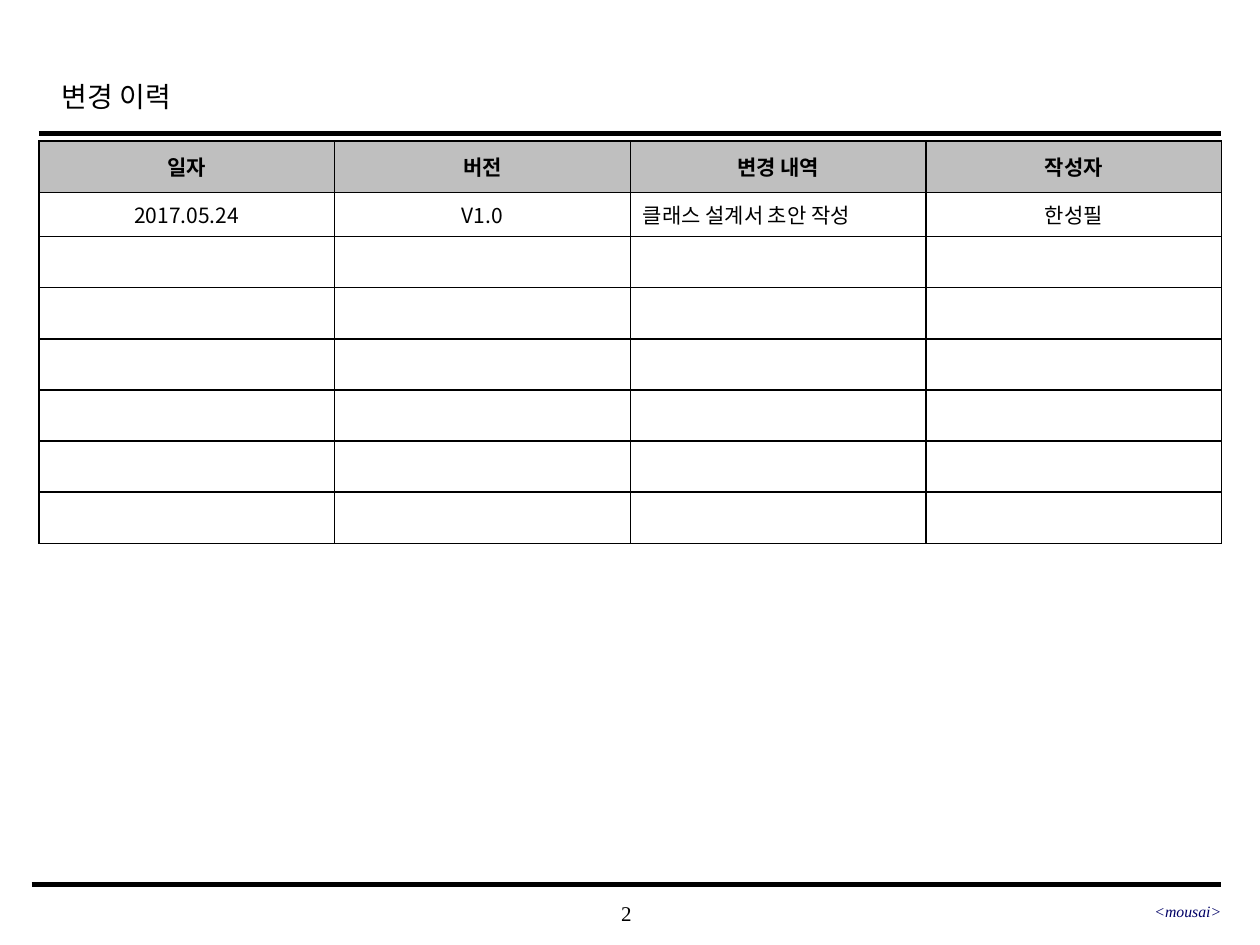
from pptx import Presentation
from pptx import oxml as ox
from pptx import util as u
from pptx.dml import color
from pptx.enum import shapes, text
from pptx.oxml import ns, xmlchemy as xc

BLACK = color.RGBColor(0, 0, 0)
WHITE = color.RGBColor(255, 255, 255)
NAVY = color.RGBColor(0, 0, 0x66)
HEADER_GRAY = color.RGBColor(0xBF, 0xBF, 0xBF)
SERIF, HANGUL = "Times New Roman", "Noto Sans CJK KR"
LEFT, CENTER, RIGHT = text.PP_ALIGN.LEFT, text.PP_ALIGN.CENTER, text.PP_ALIGN.RIGHT

HISTORY = [
    ("일자", "버전", "변경 내역", "작성자"),
    ("2017.05.24", "V1.0", "클래스 설계서 초안 작성", "한성필"),
] + [("",) * 4] * 6


def write(frame, words, size=12, font=SERIF, ink=BLACK, align=LEFT,
          bold=False, italic=False, spacing=None):
    """Fill a text frame with one formatted, vertically centred paragraph."""
    frame.word_wrap = True
    frame.vertical_anchor = text.MSO_ANCHOR.MIDDLE
    line = frame.paragraphs[0]
    line.alignment = align
    line.line_spacing = spacing
    if not words:
        ending = xc.OxmlElement("a:endParaRPr")
        ending.set("sz", str(size * 100))
        line._p.append(ending)
        return
    run = line.add_run()
    run.text = words
    run.font.size = u.Pt(size)
    run.font.name = font
    run.font.bold = bold
    run.font.italic = italic
    run.font.color.rgb = ink
    east_asian = xc.OxmlElement("a:ea")
    east_asian.set("typeface", HANGUL)
    run.font._element.find(ns.qn("a:latin")).addnext(east_asian)


def add_rule(slide, left, top, width, weight):
    """Draw a horizontal black rule."""
    rule = slide.shapes.add_connector(
        shapes.MSO_CONNECTOR.STRAIGHT, u.Pt(left), u.Pt(top), u.Pt(left + width), u.Pt(top))
    rule.line.color.rgb = BLACK
    rule.line.width = u.Pt(weight)
    rule._element.spPr.append(xc.OxmlElement("a:effectLst"))


def add_label(slide, left, top, width, height, words, **look):
    """Place a text box without margins."""
    frame = slide.shapes.add_textbox(
        u.Pt(left), u.Pt(top), u.Pt(width), u.Pt(height)).text_frame
    frame.margin_left = frame.margin_right = frame.margin_top = frame.margin_bottom = 0
    write(frame, words, **look)


def add_heading(slide, left, top, width, words):
    """Place the slide title above its rule."""
    title = slide.shapes.title
    title.left, title.top = u.Pt(left + 6), u.Pt(top)
    title.width, title.height = u.Pt(543.6), u.Pt(36)
    write(title.text_frame, words, size=16, spacing=1.2)
    add_rule(slide, left, top + 41, width, 2.5)


def add_footer(slide, left, top, width):
    """Place the bottom rule, page number and team name."""
    add_rule(slide, left, top, width, 3)
    add_label(slide, left + 265, top + 4.3, 149.8, 23.8, "2", align=CENTER)
    add_label(slide, left + width - 220.3, top + 3.6, 220.3, 23.8, "<mousai>",
              size=9, ink=NAVY, align=RIGHT, italic=True)


def add_borders(cell):
    """Outline a table cell with thin black lines."""
    properties = cell._tc.get_or_add_tcPr()
    for side in ("lnL", "lnR", "lnT", "lnB"):
        properties.append(ox.parse_xml(
            f'<a:{side} {ns.nsdecls("a")} w="{u.Pt(1)}"><a:solidFill>'
            f'<a:srgbClr val="{BLACK}"/></a:solidFill></a:{side}>'))


def add_history(slide, left, top, width, records):
    """Build the revision table with equal columns."""
    columns = len(records[0])
    table = slide.shapes.add_table(
        len(records), columns, u.Pt(left), u.Pt(top), u.Pt(width), u.Pt(229.95)).table
    for column in table.columns:
        column.width = u.Pt(width / columns)
    for r, record in enumerate(records):
        table.rows[r].height = u.Pt(25.2 if r == 1 else 29.25)
        for c, words in enumerate(record):
            cell = table.cell(r, c)
            add_borders(cell)
            cell.fill.solid()
            cell.fill.fore_color.rgb = WHITE if r else HEADER_GRAY
            cell.vertical_anchor = text.MSO_ANCHOR.MIDDLE
            write(cell.text_frame, words, font=HANGUL, bold=r == 0,
                  align=LEFT if r and c == 2 else CENTER)


def main():
    """Build and save the revision history slide."""
    deck = Presentation()
    deck.slide_width, deck.slide_height = u.Pt(720), u.Pt(540)
    slide = deck.slides.add_slide(deck.slide_layouts[5])
    add_heading(slide, 22.2, 35.3, 675.6, "변경 이력")
    add_history(slide, 22.2, 80.7, 676, HISTORY)
    add_footer(slide, 18, 505.4, 679.8)
    deck.save("out.pptx")


main()
